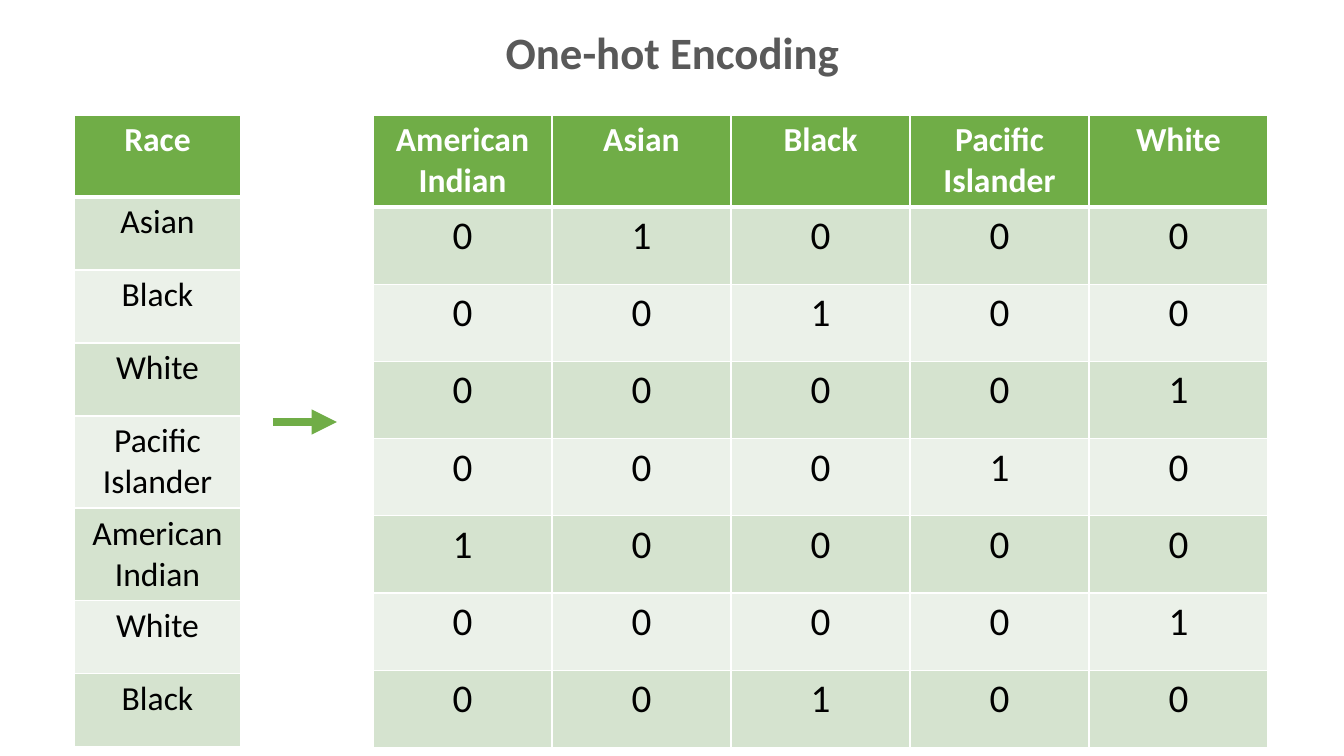
from lxml.etree import SubElement as Sub
from pptx import Presentation
from pptx.dml.color import RGBColor as RGB
from pptx.enum.shapes import MSO_CONNECTOR as Conn
from pptx.enum.text import MSO_ANCHOR as Anchor, MSO_AUTO_SIZE as Auto, PP_ALIGN as Align
from pptx.oxml import parse_xml
from pptx.oxml.ns import nsdecls, qn
from pptx.util import Emu, Pt

# Content
TITLE = "One-hot Encoding"
RACES = ["Asian", "Black", "White", "Pacific Islander",
         "American Indian", "White", "Black"]
KINDS = sorted(set(RACES))
SOURCE = [["Race"]] + [[race] for race in RACES]
ONE_HOT = [[kind.replace(" ", "\n") for kind in KINDS]]
ONE_HOT += [[str(int(race == kind)) for kind in KINDS] for race in RACES]

# Format
HEX = {"green": "70AD47", "dark": "D5E3CF", "light": "EBF1E9",
       "white": "FFFFFF", "black": "000000", "grey": "595959"}
HEAD = {"size": Pt(24), "bold": True, "color": "white"}
NAME = {"size": Pt(24), "bold": False, "color": "black"}
DIGIT = {"size": Pt(28), "bold": False, "color": "black"}
TOP = 115
SCALE = 9071  # EMU per pixel


def px(num):
    return Emu(round(num * SCALE))


def rgb(name):
    return RGB.from_string(HEX[name])


def style(frame, look):
    for para in frame.paragraphs:
        para.alignment = Align.CENTER
        for run in para.runs:
            run.font.name = "Calibri"
            run.font.color.rgb = rgb(look["color"])
            for key in ("size", "bold"):
                setattr(run.font, key, look[key])


def edge(cell, row):
    widths = {"L": 1, "R": 1, "T": 3 if row == 1 else 1, "B": 3 if row == 0 else 1}
    props = cell._tc.get_or_add_tcPr()
    for spot, (side, width) in enumerate(widths.items()):
        props.insert(spot, parse_xml(
            f'<a:ln{side} {nsdecls("a")} w="{Pt(width)}"><a:solidFill>'
            f'<a:srgbClr val="{HEX["white"]}"/></a:solidFill></a:ln{side}>'))


def grid(data, left, width, heights, body):
    cols = len(data[0])
    table = slide.shapes.add_table(len(data), cols, px(left), px(TOP),
                                   px(width * cols), px(sum(heights))).table
    for col in table.columns:
        col.width = px(width)
    for r, (texts, high) in enumerate(zip(data, heights)):
        table.rows[r].height = px(high)
        shade = "green" if r == 0 else "dark" if r % 2 else "light"
        for c, text in enumerate(texts):
            cell = table.cell(r, c)
            cell.text = text
            cell.fill.solid()
            cell.fill.fore_color.rgb = rgb(shade)
            style(cell.text_frame, body if r else HEAD)
            edge(cell, r)


# Slide
deck = Presentation()
deck.slide_width, deck.slide_height = px(1344), px(756)
slide = deck.slides.add_slide(deck.slide_layouts[5])

# Title
title = slide.shapes.title
for key, num in {"left": 491, "top": 21, "width": 363, "height": 61}.items():
    setattr(title, key, px(num))
frame = title.text_frame
frame.text = TITLE
for key, val in {"word_wrap": True, "auto_size": Auto.NONE,
                 "vertical_anchor": Anchor.MIDDLE}.items():
    setattr(frame, key, val)
style(frame, {"size": Pt(32), "bold": True, "color": "grey"})

# Tables: two-line names need taller rows
grid(SOURCE, 74, 167, [82] + [92 if " " in race else 73 for race in RACES], NAME)
grid(ONE_HOT, 373, 179, [92] + [77.2] * len(RACES), DIGIT)

# Arrow
arrow = slide.shapes.add_connector(Conn.STRAIGHT, px(273), px(422), px(337), px(422))
arrow.line.color.rgb = rgb("green")
arrow.line.width = Pt(6)
Sub(arrow.line._get_or_add_ln(), qn("a:tailEnd"), type="triangle")
Sub(arrow._element.spPr, qn("a:effectLst"))

deck.save("out.pptx")
